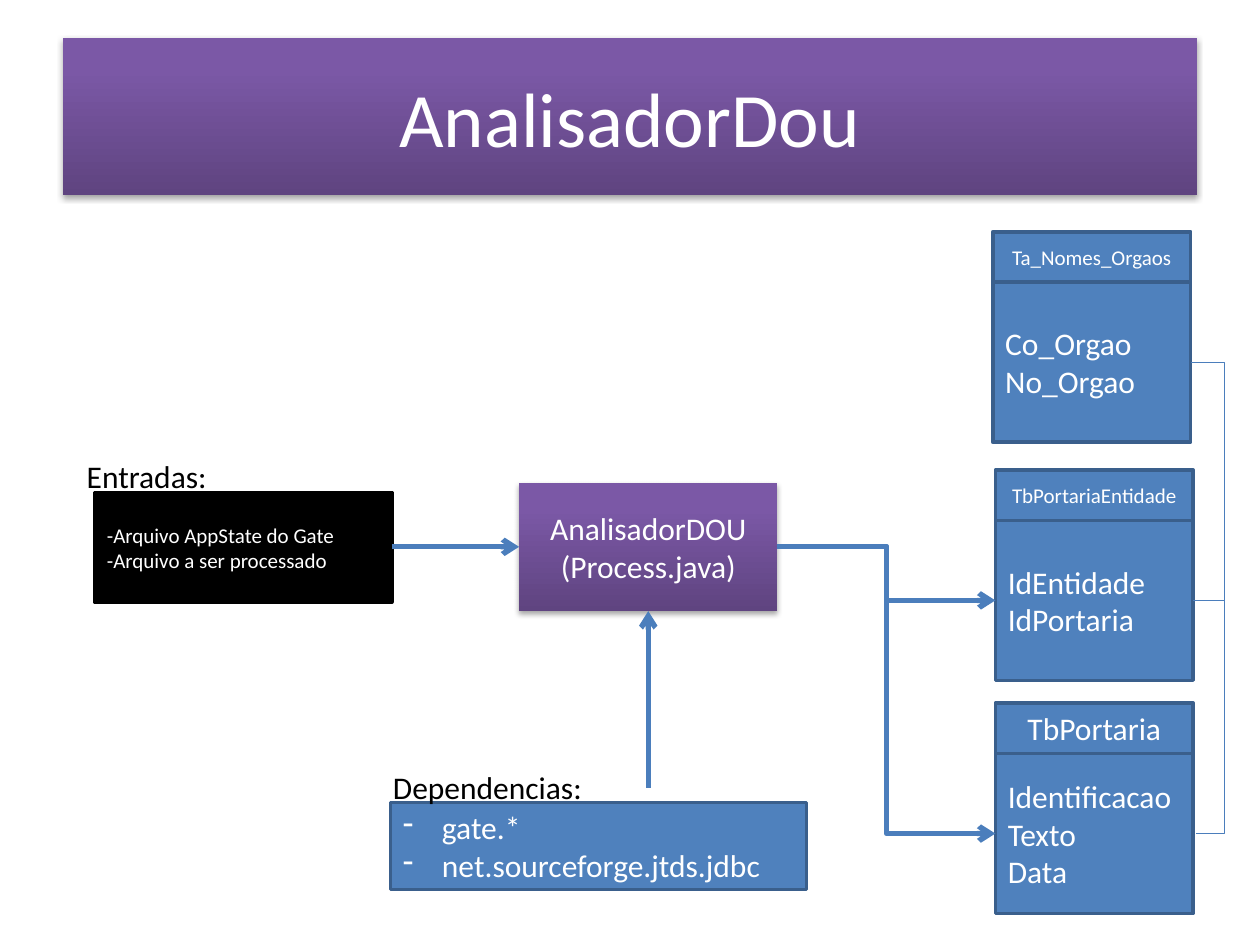
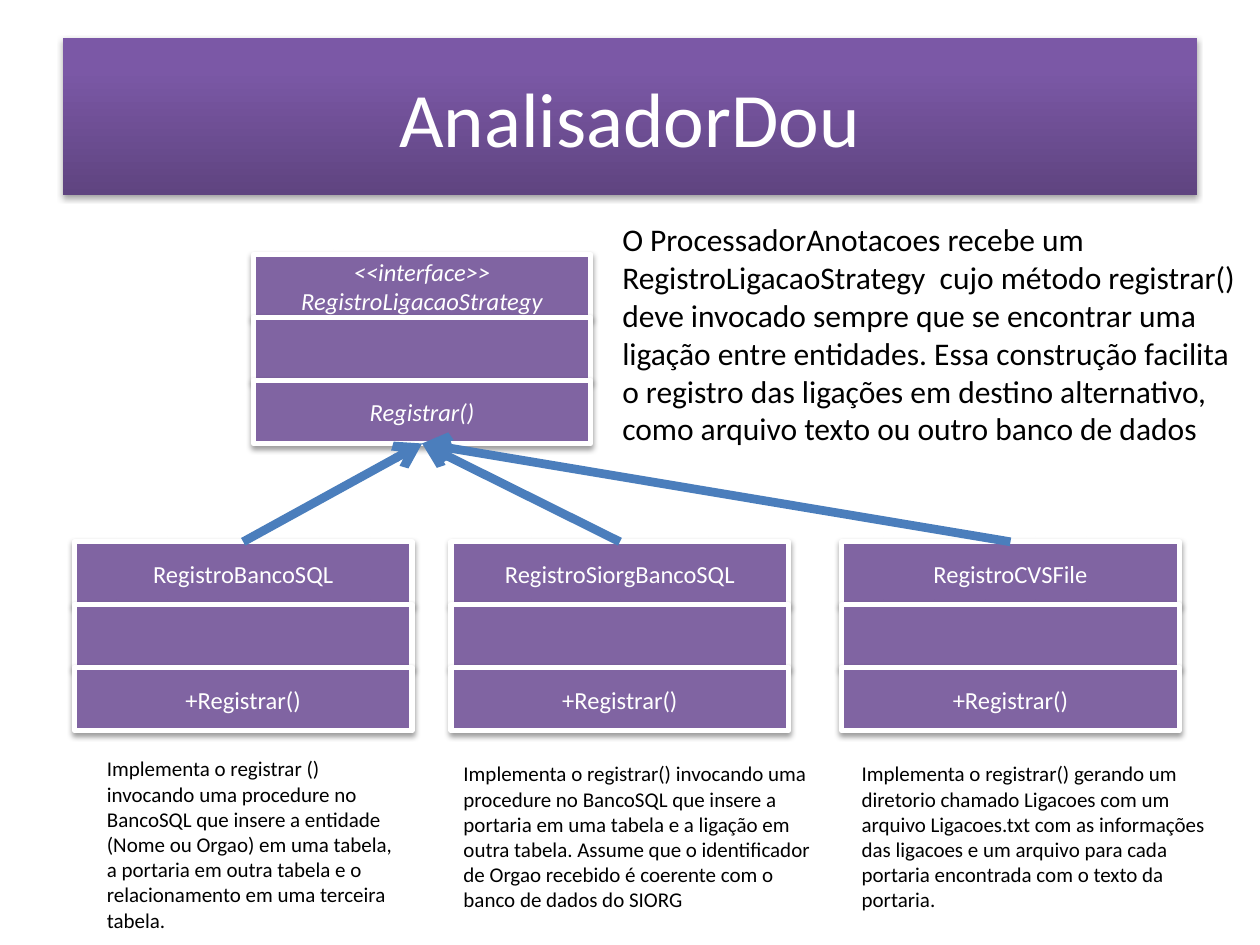
from dataclasses import dataclass

from pptx import Presentation
from pptx.dml.color import RGBColor as RGB
from pptx.enum.shapes import MSO_CONNECTOR as CONN, MSO_SHAPE as SHAPE
from pptx.enum.text import MSO_ANCHOR as ANCHOR, PP_ALIGN as ALIGN
from pptx.oxml import parse_xml
from pptx.oxml.ns import nsdecls, qn
from pptx.util import Inches, Pt


@dataclass(frozen=True)
class Theme:
    font: str = "Calibri"
    white: str = "FFFFFF"
    black: str = "000000"
    blue: str = "4F81BD"
    blue_edge: str = "3A5F8C"
    wire: str = "4B7EBC"
    purple: str = "8064A2"
    gradient: tuple = ((0, "5F4480"), (80, "7B58A6"), (100, "7C57A8"))
    band_shadow: tuple = (35, 3.1, 1.8)   # alpha %, blur pt, distance pt
    class_shadow: tuple = (38, 3.1, 1.6)
    title: int = 44
    body: int = 18
    label: int = 14
    small: int = 12


T = Theme()

# ---- Content; places are in columns (100) and rows (75) of the slide ----
TITLE, TITLE_AT = "AnalisadorDou", (5, 3, 90, 12.5)

PROCESS, PROCESS_AT = ["AnalisadorDOU", "(Process.java)"], (41.2, 38.3, 20.5, 10.2)
INPUTS, INPUTS_AT = ["-Arquivo AppState do Gate", "-Arquivo a ser processado"], (7.5, 39.1, 23.6, 8.7)
DEPENDENCIES, DEPENDENCIES_AT = ["gate.*", "net.sourceforge.jtds.jdbc"], (31, 63.7, 33, 6.9)
CAPTIONS = [("Entradas:", (5.9, 35.8, 19.7, 4)),
            ("Dependencias:", (30.2, 60.5, 21.2, 4))]

TABLE_W, TABLE_HEAD, TABLE_BODY = 15.7, 4, 12.7
DB_TABLES = [  # name, name size, fields, left, top
    ("Ta_Nomes_Orgaos", T.small, ["Co_Orgao", "No_Orgao"], 78.8, 18.4),
    ("TbPortariaEntidade", T.small, ["IdEntidade", "IdPortaria"], 79, 37.3),
    ("TbPortaria", T.body, ["Identificacao", "Texto", "Data"], 79, 55.8),
]
SPINE, TRUNK = 97.2, 70.35  # columns where the bent lines turn

CLASS_W, CLASS_ROW = 26.8, 5
INTERFACE, INTERFACE_AT = (["<<interface>>", "RegistroLigacaoStrategy"], "Registrar()"), (20.1, 20.2)
CLASS_TOP = 43
CLASSES = [  # name, left, note, place of the note
    ("RegistroBancoSQL", 5.9,
     "Implementa o registrar () invocando uma procedure no BancoSQL que insere a "
     "entidade (Nome ou Orgao) em uma tabela, a portaria em outra tabela e o "
     "relacionamento em uma terceira tabela.", (7.5, 59.5, 25.2, 15.1)),
    ("RegistroSiorgBancoSQL", 35.8,
     "Implementa o registrar() invocando uma procedure no BancoSQL que insere a "
     "portaria em uma tabela e a ligação em outra tabela. Assume que o identificador "
     "de Orgao recebido é coerente com o banco de dados do SIORG", (35.8, 59.9, 29.9, 13.1)),
    ("RegistroCVSFile", 66.8,
     "Implementa o registrar() gerando um diretorio chamado Ligacoes com um arquivo "
     "Ligacoes.txt com as informações das ligacoes e um arquivo para cada portaria "
     "encontrada com o texto da portaria.", (67.4, 59.9, 29.9, 13.1)),
]
SUMMARY = ("O ProcessadorAnotacoes recebe um RegistroLigacaoStrategy  cujo método registrar() "
           "deve invocado sempre que se encontrar uma ligação entre entidades. Essa construção "
           "facilita o registro das ligações em destino alternativo, como arquivo texto ou "
           "outro banco de dados")
SUMMARY_AT = (48.4, 17, 50.8, 19.2)

prs = Presentation()
prs.slide_width, prs.slide_height = Inches(10), Inches(7.5)
COL, ROW = prs.slide_width / 100, prs.slide_height / 75


# ---- Helpers ----
def emu(*grid):
    return [round(v * (ROW if i % 2 else COL)) for i, v in enumerate(grid)]


def write(sp, lines, size, color=T.white, align=ALIGN.LEFT, italic=False, dash=False):
    tf = sp.text_frame
    tf.word_wrap = True
    for i, line in enumerate(lines):
        p = tf.paragraphs[0] if i == 0 else tf.add_paragraph()
        p.alignment = align
        if dash:
            pPr = p._p.get_or_add_pPr()
            pPr.set("marL", str(Inches(0.31)))
            pPr.set("indent", str(-Inches(0.31)))
            pPr.append(parse_xml(f'<a:buChar {nsdecls("a")} char="-"/>'))
        r = p.add_run()
        r.text = line
        f = r.font
        f.name, f.size, f.italic = T.font, Pt(size), italic
        f.color.rgb = RGB.from_string(color)


def text(s, lines, at, size):
    write(s.shapes.add_textbox(*emu(*at)), lines, size, T.black)


def box(s, at, fill=None, edge=None, width=2, shadow=None):
    """Rectangle; without a fill colour it takes the theme gradient."""
    sp = s.shapes.add_shape(SHAPE.RECTANGLE, *emu(*at))
    sp.text_frame.vertical_anchor = ANCHOR.MIDDLE
    sp.shadow.inherit = False
    spPr = sp._element.spPr
    if fill:
        sp.fill.solid()
        sp.fill.fore_color.rgb = RGB.from_string(fill)
    else:
        sp.fill.gradient()
        sp.fill.gradient_angle = 90
        stops = spPr.find(qn("a:gradFill")).find(qn("a:gsLst"))
        stops.clear()
        for pos, color in T.gradient:
            stops.append(parse_xml(f'<a:gs {nsdecls("a")} pos="{pos * 1000}">'
                                   f'<a:srgbClr val="{color}"/></a:gs>'))
    if edge:
        sp.line.color.rgb = RGB.from_string(edge)
        sp.line.width = Pt(width)
    else:
        sp.line.fill.background()
    if shadow:
        alpha, blur, dist = shadow
        spPr.find(qn("a:effectLst")).append(parse_xml(
            f'<a:outerShdw {nsdecls("a")} blurRad="{Pt(blur)}" dist="{Pt(dist)}" dir="5400000" '
            f'rotWithShape="0"><a:srgbClr val="{T.black}"><a:alpha val="{alpha * 1000}"/>'
            '</a:srgbClr></a:outerShdw>'))
    return sp


def wire(s, start, end, width, arrow=True, turn=None):
    """Straight line, or a bent one that turns at the given column."""
    kind = CONN.STRAIGHT if turn is None else CONN.ELBOW
    cx = s.shapes.add_connector(kind, *emu(*start, *end))
    cx.line.color.rgb = RGB.from_string(T.wire)
    cx.line.width = Pt(width)
    spPr = cx._element.spPr
    if turn is not None:
        adj = round((turn - start[0]) / (end[0] - start[0]) * 100000)
        geom = spPr.find(qn("a:prstGeom"))
        geom.get_or_add_avLst().append(
            parse_xml(f'<a:gd {nsdecls("a")} name="adj1" fmla="val {adj}"/>'))
    if arrow:
        spPr.find(qn("a:ln")).append(parse_xml(f'<a:tailEnd {nsdecls("a")} type="arrow"/>'))
    spPr.append(parse_xml(f'<a:effectLst {nsdecls("a")}/>'))


def new_slide():
    s = prs.slides.add_slide(prs.slide_layouts[6])
    write(box(s, TITLE_AT, shadow=T.band_shadow), [TITLE], T.title, align=ALIGN.CENTER)
    return s


def db_table(s, name, size, fields, x, y):
    body = box(s, (x, y + TABLE_HEAD, TABLE_W, TABLE_BODY), T.blue, T.blue_edge)
    write(body, fields, T.body)
    head = box(s, (x, y, TABLE_W, TABLE_HEAD), T.blue, T.blue_edge)
    write(head, [name], size, align=ALIGN.CENTER)
    return y + TABLE_HEAD + TABLE_BODY / 2


def class_box(s, x, y, name, method, italic=False):
    for i, lines in enumerate((name, [], [method])):
        sp = box(s, (x, y + i * CLASS_ROW, CLASS_W, CLASS_ROW), T.purple, T.white, 3,
                 T.class_shadow)
        write(sp, lines, T.label, align=ALIGN.CENTER, italic=italic)


# ---- Slide 1: data flow ----
s = new_slide()
write(box(s, PROCESS_AT, shadow=T.band_shadow), PROCESS, T.body, align=ALIGN.CENTER)
write(box(s, INPUTS_AT, T.black, T.black), INPUTS, T.small)
write(box(s, DEPENDENCIES_AT, T.blue, T.blue_edge), DEPENDENCIES, T.body, dash=True)
for caption, at in CAPTIONS:
    text(s, [caption], at, T.body)

mid_names, mid_entity, mid_portaria = [db_table(s, *table) for table in DB_TABLES]
x, y, w, h = PROCESS_AT
mid = y + h / 2
wire(s, (INPUTS_AT[0] + INPUTS_AT[2], mid), (x, mid), 3)
wire(s, (x + w / 2, 62.5), (x + w / 2, y + h), 3)
for row in (mid_entity, mid_portaria):
    wire(s, (x + w, mid), (DB_TABLES[1][3], row), 3, turn=TRUNK)

# Relations between the tables
right = DB_TABLES[1][3] + TABLE_W
wire(s, (right - 0.2, mid_names), (right, mid_entity), 0.75, False, SPINE)
wire(s, (right, mid_entity), (right + 0.2, mid_portaria), 0.75, False, SPINE)

# ---- Slide 2: class diagram ----
s = new_slide()
x, y = INTERFACE_AT
class_box(s, x, y, *INTERFACE, italic=True)
target = (x + CLASS_W / 2, y + 3 * CLASS_ROW)
for name, left, note, at in CLASSES:
    class_box(s, left, CLASS_TOP, [name], "+Registrar()")
    text(s, [note], at, T.small)
    wire(s, (left + CLASS_W / 2, CLASS_TOP), target, 5)
text(s, [SUMMARY], SUMMARY_AT, T.body)

prs.save("out.pptx")
